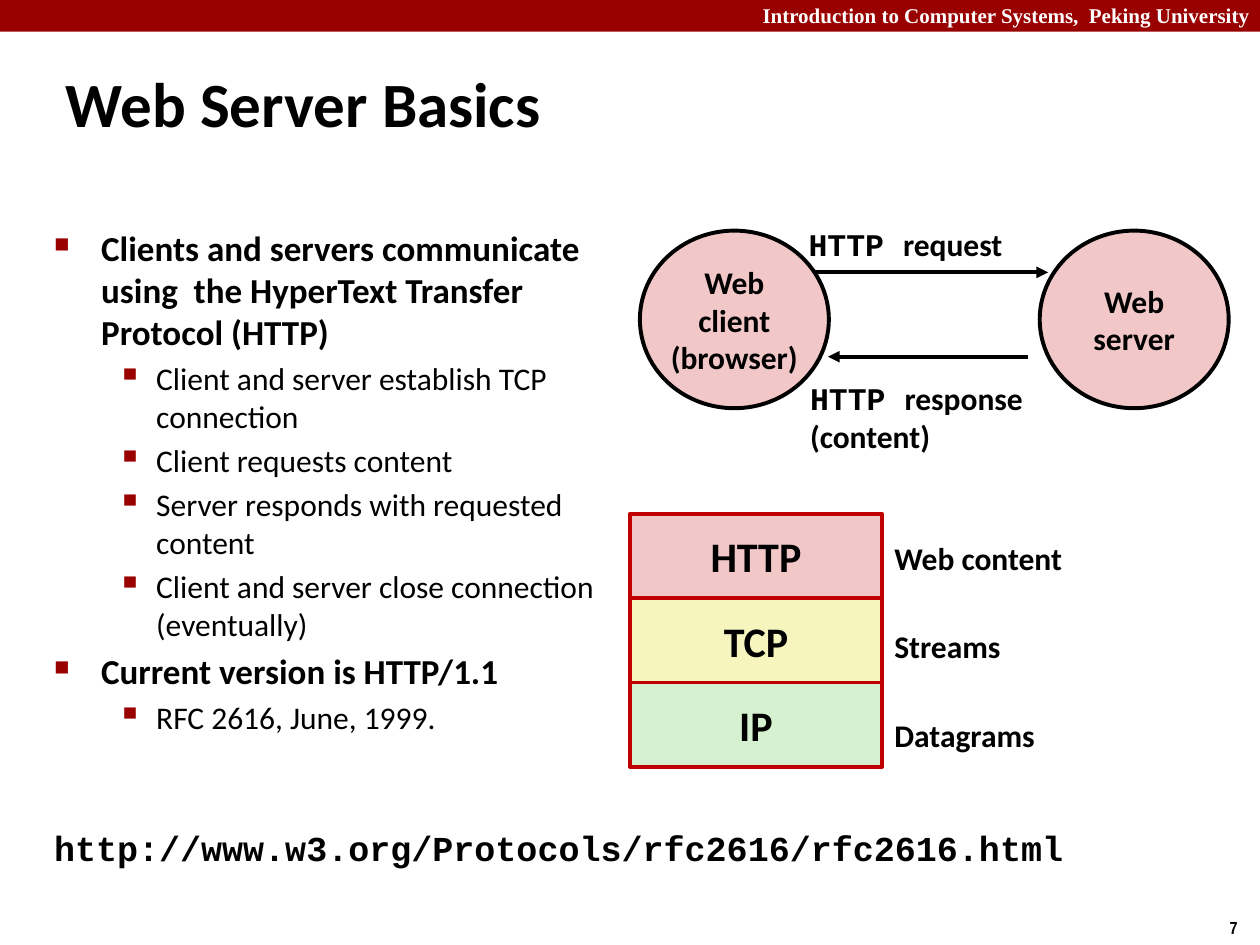
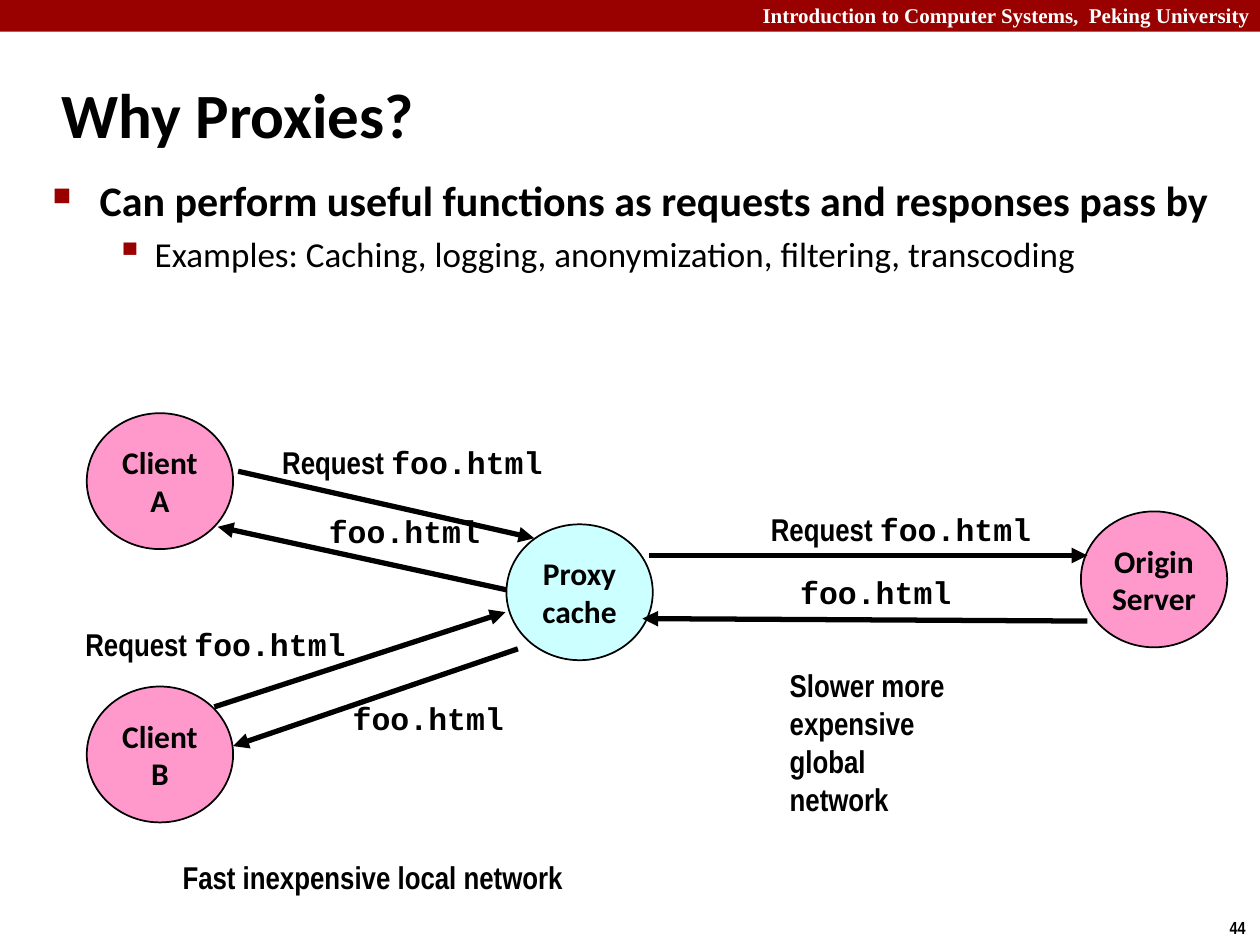
from lxml import etree
from pptx import Presentation
from pptx.dml.color import RGBColor
from pptx.enum.shapes import MSO_CONNECTOR as CONNECTOR, MSO_SHAPE as SHAPE
from pptx.enum.text import MSO_ANCHOR as ANCHOR, MSO_AUTO_SIZE as AUTO_SIZE, PP_ALIGN as ALIGN
from pptx.oxml.ns import qn
from pptx.util import Cm, Pt

BLACK = RGBColor(0x00, 0x00, 0x00)
WHITE = RGBColor(0xFF, 0xFF, 0xFF)
BAND_RED = RGBColor(0x99, 0x00, 0x00)
STACK_RED = RGBColor(0xC0, 0x00, 0x00)
ROSE = RGBColor(0xF1, 0xC7, 0xC7)
YELLOW = RGBColor(0xF6, 0xF5, 0xBD)
GREEN = RGBColor(0xD5, 0xF1, 0xCF)
PINK = RGBColor(0xFF, 0x99, 0xCC)
CYAN = RGBColor(0xCC, 0xFF, 0xFF)

SANS, NARROW, MONO, SERIF = "Calibri", "Arial Narrow", "Courier New", "Times New Roman"
COURSE = "Introduction to Computer Systems,  Peking University"
BULLETS = [
    {"char": "■", "percent": 60, "margin": 0.95, "hanging": 0.95, "bold": True},
    {"char": "▪", "percent": 110, "margin": 2.06, "hanging": 0.79, "bold": False},
]
PLAIN = {"word_wrap": False, "auto_size": AUTO_SIZE.SHAPE_TO_FIT_TEXT}
WRAPPED = {"word_wrap": True, "auto_size": AUTO_SIZE.NONE, "vertical_anchor": ANCHOR.TOP}
CENTERED = {"word_wrap": False, "vertical_anchor": ANCHOR.MIDDLE}


def write_text(shape, lines, size, frame_format, align=ALIGN.LEFT, color=BLACK, bold=True):
    for name, value in frame_format.items():
        setattr(shape.text_frame, name, value)
    for index, runs in enumerate(lines):
        frame = shape.text_frame
        paragraph = frame.add_paragraph() if index else frame.paragraphs[0]
        paragraph.alignment = align
        for text, font_name in runs:
            run = paragraph.add_run()
            run.text = text
            font_format = {"name": font_name, "size": Pt(size), "bold": bold}
            for name, value in font_format.items():
                setattr(run.font, name, value)
            run.font.color.rgb = color


def add_filled(slide, kind, box, fill, line_color=None, line_width=0):
    shape = slide.shapes.add_shape(kind, *map(Cm, box))
    shape.shadow.inherit = False
    shape.fill.solid()
    shape.fill.fore_color.rgb = fill
    if line_color is None:
        shape.line.fill.background()
    else:
        shape.line.color.rgb = line_color
        shape.line.width = Pt(line_width)
    return shape


REQUEST = [[("Request ", NARROW), ("foo.html", MONO)]]
REPLY = [[("foo.html", MONO)]]

basics = {
    "title": "Web Server Basics",
    "title_box": (1.07, 1.17, 10.36, 1.6),
    "title_anchor": ANCHOR.TOP,
    "number": "7",
    "body_box": (0.84, 4.45, 11.63, 13.03),
    "body_sizes": (20, 18),
    "body": [
        (0, "Clients and servers communicate using  the HyperText Transfer Protocol (HTTP)"),
        (1, "Client and server establish TCP connection"),
        (1, "Client requests content"),
        (1, "Server responds with requested content"),
        (1, "Client and server close connection (eventually)"),
        (0, "Current version is HTTP/1.1"),
        (1, "RFC 2616, June, 1999."),
    ],
    "oval_size": (3.81, 3.58),
    "line_widths": {"oval": 2.25, "arrow": 2.25},
    "diagram": [
        ("oval", (20.96, 4.65), ROSE, ["Web", "server"]),
        ("arrow", (16.28, 5.49), (21.13, 5.49)),
        ("label", (16.05, 4.42), 4.47, 18, [[("HTTP ", MONO), ("request", SANS)]]),
        ("arrow", (20.73, 7.19), (16.69, 7.19)),
        ("label", (16.08, 7.52), 4.85, 18,
         [[("HTTP ", MONO), ("response", SANS)], [("(content)", SANS)]]),
        ("oval", (12.9, 4.65), ROSE, ["Web", "client", "(browser)"]),
        ("label", (0.84, 16.54), 21.03, 20,
         [[("http://www.w3.org/Protocols/rfc2616/rfc2616.html", MONO)]]),
    ],
}

proxies = {
    "title": "Why Proxies?",
    "title_box": (0.99, 1.22, 21.08, 2.11),
    "title_anchor": ANCHOR.MIDDLE,
    "number": "44",
    "body_box": (0.81, 3.4, 23.95, 4.6),
    "body_sizes": (24, 20),
    "body": [
        (0, "Can perform useful functions as requests and responses pass by"),
        (1, "Examples: Caching, logging, anonymization, filtering, transcoding"),
    ],
    "oval_size": (2.95, 2.74),
    "line_widths": {"oval": 1, "arrow": 3},
    "diagram": [
        ("oval", (1.75, 8.33), PINK, ["Client", "A"]),
        ("oval", (1.75, 13.84), PINK, ["Client", "B"]),
        ("oval", (10.21, 10.57), CYAN, ["Proxy", "cache"]),
        ("oval", (21.79, 10.31), PINK, ["Origin", "Server"]),
        ("arrow", (4.8, 9.5), (10.77, 10.85)),
        ("label", (5.44, 8.81), 5.79, 18, REQUEST),
        ("arrow", (13.08, 11.2), (21.92, 11.2)),
        ("label", (15.29, 10.16), 5.79, 18, REQUEST),
        ("arrow", (21.92, 12.52), (12.95, 12.47)),
        ("label", (15.88, 11.43), 3.58, 18, REPLY),
        ("arrow", (10.21, 11.89), (4.39, 10.62)),
        ("label", (6.38, 10.19), 3.58, 18, REPLY),
        ("arrow", (4.32, 14.25), (10.19, 12.34)),
        ("label", (1.47, 12.47), 5.79, 18, REQUEST),
        ("arrow", (10.44, 13.08), (4.7, 15.04)),
        ("label", (6.86, 13.97), 3.58, 18, REPLY),
        ("label", (3.43, 17.17), 8.28, 18, [[("Fast inexpensive local network", NARROW)]]),
        ("label", (15.67, 13.31), 4.17, 18,
         [[(line, NARROW)] for line in ("Slower more", "expensive", "global network")]),
    ],
}

protocol_stack = [
    ("HTTP", ROSE, "Web content", 3.91),
    ("TCP", YELLOW, "Streams", 2.67),
    ("IP", GREEN, "Datagrams", 3.38),
]
for row, (protocol, fill, unit, unit_width) in enumerate(protocol_stack):
    basics["diagram"] += [
        ("layer", (12.7, 10.36 + 1.7 * row), fill, protocol),
        ("label", (17.78, 10.74 + 1.78 * row), unit_width, 18, [[(unit, SANS)]]),
    ]

presentation = Presentation()
presentation.slide_width = Cm(25.4)
presentation.slide_height = Cm(19.05)

for content in (basics, proxies):
    slide = presentation.slides.add_slide(presentation.slide_layouts[5])

    add_filled(slide, SHAPE.RECTANGLE, (0, 0, 25.4, 0.64), BAND_RED)
    course = slide.shapes.add_textbox(Cm(13.13), Cm(-0.08), Cm(12.32), Cm(0.76))
    write_text(course, [[(COURSE, SERIF)]], 12, WRAPPED, ALIGN.RIGHT, WHITE)
    number = slide.shapes.add_textbox(Cm(24.54), Cm(18.36), Cm(0.86), Cm(0.69))
    write_text(number, [[(content["number"], NARROW)]], 10, PLAIN)

    title = slide.shapes.title
    for name, value in zip(("left", "top", "width", "height"), content["title_box"]):
        setattr(title, name, Cm(value))
    title_format = WRAPPED | {"vertical_anchor": content["title_anchor"]}
    write_text(title, [[(content["title"], SANS)]], 36, title_format)

    body = slide.shapes.add_textbox(*map(Cm, content["body_box"]))
    write_text(body, [[(text, SANS)] for _, text in content["body"]], 20, WRAPPED)
    for paragraph, (level, _) in zip(body.text_frame.paragraphs, content["body"]):
        bullet = BULLETS[level]
        size = content["body_sizes"][level]
        paragraph.level = level
        paragraph.space_before = Pt(size * 0.2)
        paragraph.runs[0].font.size = Pt(size)
        paragraph.runs[0].font.bold = bullet["bold"]
        properties = paragraph._p.get_or_add_pPr()
        properties.set("marL", str(Cm(bullet["margin"])))
        properties.set("indent", str(-Cm(bullet["hanging"])))
        bullet_color = etree.SubElement(properties, qn("a:buClr"))
        etree.SubElement(bullet_color, qn("a:srgbClr"), val=str(BAND_RED))
        etree.SubElement(properties, qn("a:buSzPct"), val=str(bullet["percent"] * 1000))
        etree.SubElement(properties, qn("a:buChar"), char=bullet["char"])

    widths = content["line_widths"]
    for kind, position, *details in content["diagram"]:
        if kind == "oval":
            fill, lines = details
            box = position + content["oval_size"]
            oval = add_filled(slide, SHAPE.OVAL, box, fill, BLACK, widths["oval"])
            write_text(oval, [[(line, SANS)] for line in lines], 18, CENTERED, ALIGN.CENTER)
        elif kind == "layer":
            fill, protocol = details
            layer = add_filled(slide, SHAPE.RECTANGLE, position + (5.08, 1.7), fill, STACK_RED, 2.25)
            write_text(layer, [[(protocol, SANS)]], 24, CENTERED, ALIGN.CENTER)
        elif kind == "label":
            width, size, lines = details
            height = 0.25 + 0.043 * size * len(lines)
            label = slide.shapes.add_textbox(*map(Cm, position + (width, height)))
            write_text(label, lines, size, PLAIN)
        else:
            arrow = slide.shapes.add_connector(CONNECTOR.STRAIGHT, *map(Cm, position + details[0]))
            arrow.line.color.rgb = BLACK
            arrow.line.width = Pt(widths["arrow"])
            etree.SubElement(arrow.line._get_or_add_ln(), qn("a:tailEnd"), type="triangle")
            etree.SubElement(arrow._element.spPr, qn("a:effectLst"))

presentation.save("out.pptx")
